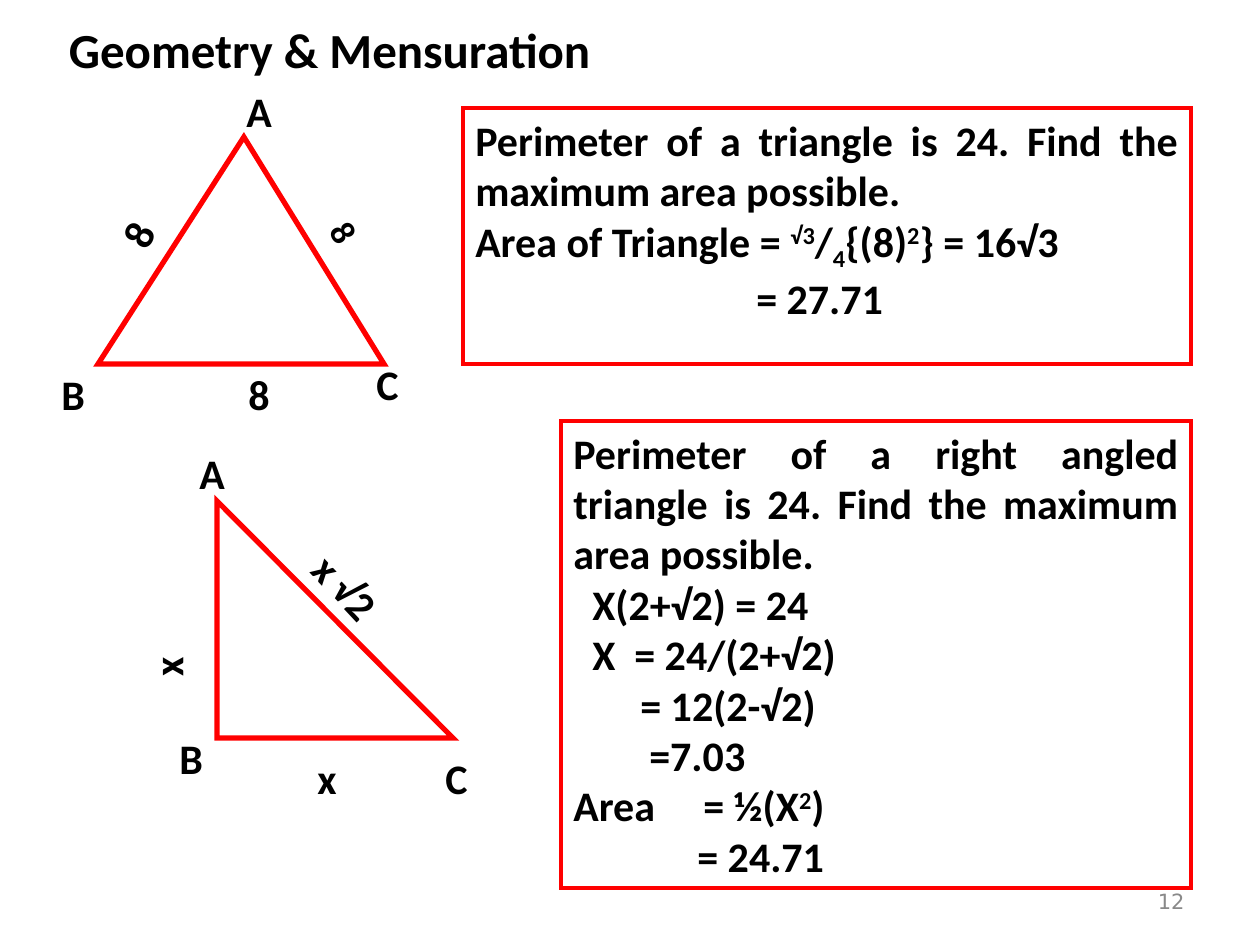
"""Build the geometry and mensuration slide on maximum triangle areas."""
from dataclasses import dataclass

from lxml import etree
from pptx import Presentation
from pptx import util as u
from pptx.dml.color import RGBColor
from pptx.enum import shapes, text
from pptx.oxml.ns import qn


@dataclass(frozen=True)
class Theme:
    ink: RGBColor = RGBColor(0, 0, 0)
    outline: RGBColor = RGBColor(255, 0, 0)
    paper: RGBColor = RGBColor(255, 255, 255)
    muted: RGBColor = RGBColor(0x89, 0x89, 0x89)
    face: str = "Calibri"
    number_face: str = "DejaVu Sans"
    title: int = 28
    body: int = 24
    small: int = 20
    number: int = 12


theme = Theme()
SCALE = 914400 / 126


def px(length):
    return u.Emu(round(length * SCALE))


def style(para, size, align, color=theme.ink, face=theme.face, bold=True):
    para.alignment = align
    para.font.size = u.Pt(size)
    para.font.name = face
    para.font.bold = bold
    para.font.color.rgb = color


deck = Presentation()
deck.slide_width, deck.slide_height = px(1260), px(945)
page = deck.slides.add_slide(deck.slide_layouts[6])
kind = shapes.MSO_SHAPE
left, center, right, justify = (
    text.PP_ALIGN.LEFT, text.PP_ALIGN.CENTER, text.PP_ALIGN.RIGHT, text.PP_ALIGN.JUSTIFY)

outlines = {}
for key, preset, area, width in [
    ("equilateral", kind.ISOSCELES_TRIANGLE, (98, 137, 286, 227), 3),
    ("right-angled", kind.RIGHT_TRIANGLE, (217, 501, 236, 237), 3),
    ("equilateral solution", kind.RECTANGLE, (463, 108, 728, 256), 2.25),
    ("right-angled solution", kind.RECTANGLE, (561, 421, 630, 467), 2.25),
]:
    shape = page.shapes.add_shape(preset, *map(px, area))
    shape.shadow.inherit = False
    shape.fill.background()
    shape.line.color.rgb = theme.outline
    shape.line.width = u.Pt(width)
    etree.SubElement(shape.line._get_or_add_ln(), qn("a:miter"), lim="800000")
    outlines[key] = shape
outlines["equilateral"].adjustments[0] = 0.51
outlines["right-angled"].fill.solid()
outlines["right-angled"].fill.fore_color.rgb = theme.paper

solutions = {
    "equilateral solution": [
        (0, [("Perimeter of a triangle is 24. Find the maximum area possible.", 0)]),
        (0, [("Area of Triangle = ", 0), ("√3", 30), ("/", 0), ("4", -25),
             ("{(8)", 0), ("2", 30), ("} = 16√3", 0)]),
        (281, [("= 27.71", 0)]),
    ],
    "right-angled solution": [
        (0, [("Perimeter of a right angled triangle is 24. "
              "Find the maximum area possible.", 0)]),
        (19, [("X(2+√2) = 24", 0)]),
        (19, [("X\t= 24/(2+√2)", 0)]),
        (67, [("= 12(2-√2)", 0)]),
        (76, [("=7.03", 0)]),
        (0, [("Area\t= ½(X", 0), ("2", 30), (")", 0)]),
        (124, [("= 24.71", 0)]),
    ],
}
tab_stops = {"X": 42, "Area": 130}
for key, lines in solutions.items():
    frame = outlines[key].text_frame
    frame.word_wrap = True
    frame.vertical_anchor = text.MSO_ANCHOR.TOP
    for index, (indent, spans) in enumerate(lines):
        para = frame.add_paragraph() if index else frame.paragraphs[0]
        properties = para._p.get_or_add_pPr()
        properties.set("marL", str(px(indent)))
        head, tab, _ = spans[0][0].partition("\t")
        if tab:
            stops = etree.SubElement(properties, qn("a:tabLst"))
            etree.SubElement(stops, qn("a:tab"), pos=str(px(tab_stops[head])), algn="l")
        style(para, theme.body, justify)
        for words, baseline in spans:
            span = para.add_run()
            span.text = words
            if baseline:
                span._r.get_or_add_rPr().set("baseline", str(baseline * 1000))

for words, area, turn, size, align in [
    ("Geometry & Mensuration", (29, 19, 601, 59), 0, theme.title, center),
    ("A", (234, 81, 49, 59), 0, theme.body, left),
    ("B", (49, 364, 49, 59), 0, theme.body, left),
    ("C", (364, 354, 49, 59), 0, theme.body, left),
    ("8", (108, 191, 71, 64), 298, theme.body, left),
    ("8", (323, 199, 44, 67), 60, theme.small, left),
    ("8", (236, 364, 49, 59), 0, theme.body, left),
    ("A", (187, 443, 49, 59), 0, theme.body, left),
    ("B", (167, 728, 49, 59), 0, theme.body, left),
    ("C", (433, 748, 49, 59), 0, theme.body, left),
    ("x", (142, 635, 49, 59), 270, theme.body, left),
    ("x √2", (283, 546, 126, 81), 47, theme.body, center),
    ("x", (305, 748, 49, 59), 0, theme.body, left),
    ("12", (903, 876, 294, 50), 0, theme.number, right),
]:
    box = page.shapes.add_textbox(*map(px, area))
    box.rotation = turn
    frame = box.text_frame
    frame.word_wrap = True
    frame.vertical_anchor = text.MSO_ANCHOR.MIDDLE
    para = frame.paragraphs[0]
    para.add_run().text = words
    if size == theme.number:
        style(para, size, align, theme.muted, theme.number_face, False)
    else:
        style(para, size, align)

deck.save("out.pptx")
